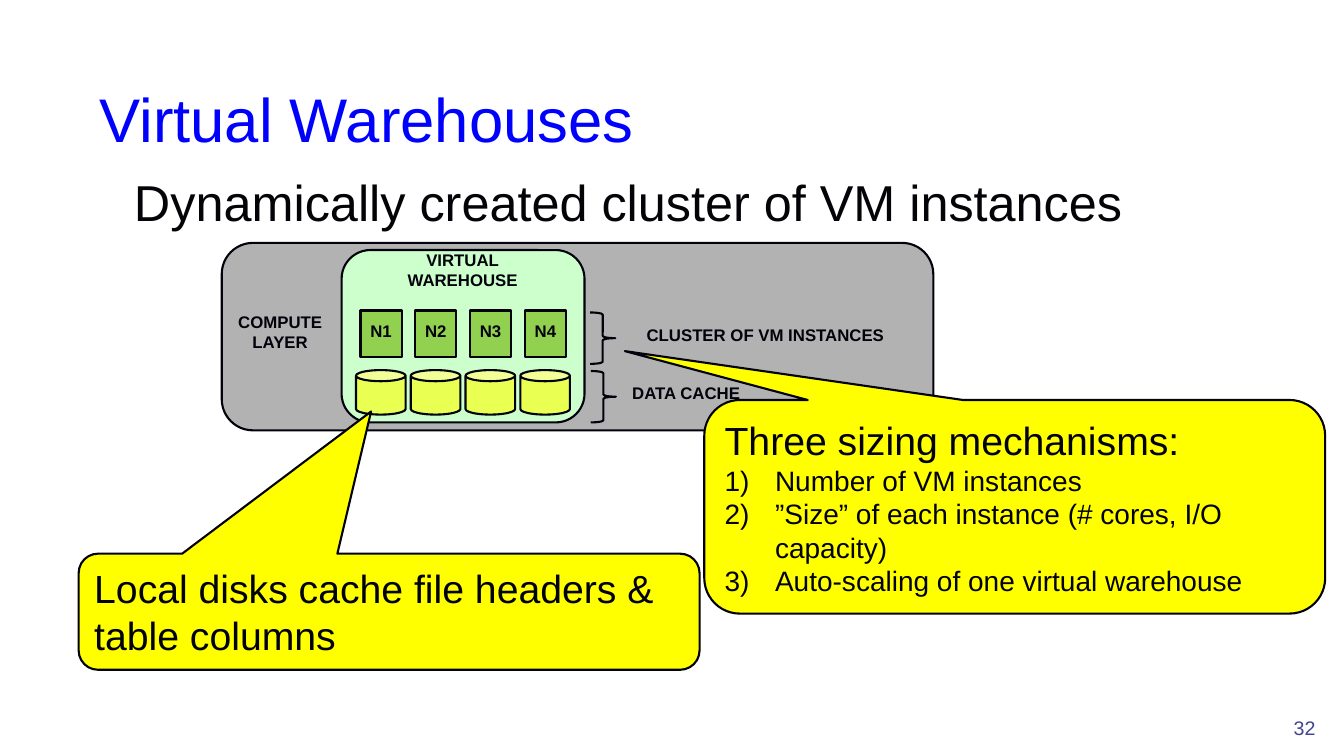
from dataclasses import dataclass
from typing import Optional

import pptx
import pptx.dml.color
import pptx.enum.shapes
import pptx.enum.text
import pptx.oxml.ns
import pptx.util
from lxml import etree

Pt = pptx.util.Pt
SHAPE = pptx.enum.shapes.MSO_SHAPE
ALIGN = pptx.enum.text.PP_ALIGN
ANCHOR = pptx.enum.text.MSO_ANCHOR

INK, YELLOW = "01020B", "FFFF00"
NODE_COUNT, NODE_STEP = 4, 39.12


@dataclass
class Line:
    text: str
    size: float = 12
    color: str = INK
    bold: bool = False
    numbered: bool = False


@dataclass
class Box:
    left: float
    top: float
    width: float
    height: float


@dataclass
class Label:
    box: Box
    lines: list[Line]
    align: ALIGN = ALIGN.CENTER
    anchor: ANCHOR = ANCHOR.TOP
    inset_top: float = 3.6


@dataclass
class Figure:
    kind: SHAPE
    box: Box
    fill: Optional[str] = None


@dataclass
class Callout:
    figure: Figure
    tail: tuple[float, float]
    lines: list[Line]


def rgb(value: str) -> pptx.dml.color.RGBColor:
    return pptx.dml.color.RGBColor.from_string(value)


def place(box: Box) -> tuple:
    return Pt(box.left), Pt(box.top), Pt(box.width), Pt(box.height)


def write(tf, lines: list[Line], align: ALIGN, anchor: ANCHOR) -> None:
    tf.word_wrap = True
    tf.vertical_anchor = anchor
    for i, line in enumerate(lines):
        p = tf.add_paragraph() if i else tf.paragraphs[0]
        p.alignment = align
        if line.numbered:
            pPr = p._p.get_or_add_pPr()
            pPr.set("marL", str(Pt(36)))
            pPr.set("indent", str(-Pt(36)))
            num = etree.SubElement(pPr, pptx.oxml.ns.qn("a:buAutoNum"))
            num.set("type", "arabicParenR")
        r = p.add_run()
        r.text = line.text
        r.font.name = "Arial"
        r.font.size = Pt(line.size)
        r.font.bold = line.bold
        r.font.color.rgb = rgb(line.color)


def draw_label(s, label: Label) -> None:
    tf = s.shapes.add_textbox(*place(label.box)).text_frame
    tf.margin_top = Pt(label.inset_top)
    write(tf, label.lines, label.align, label.anchor)


def draw_figure(s, figure: Figure):
    sp = s.shapes.add_shape(figure.kind, *place(figure.box))
    sp.shadow.inherit = False
    if figure.fill:
        sp.fill.solid()
        sp.fill.fore_color.rgb = rgb(figure.fill)
    else:
        sp.fill.background()
    sp.line.color.rgb = rgb(INK)
    sp.line.width = Pt(1.5)
    return sp


def draw_callout(s, callout: Callout) -> None:
    sp = draw_figure(s, callout.figure)
    sp.adjustments[0], sp.adjustments[1] = callout.tail
    write(sp.text_frame, callout.lines, ALIGN.LEFT, ANCHOR.MIDDLE)


def caption(*texts: str) -> list[Line]:
    return [Line(text, bold=True) for text in texts]


HEADINGS = [
    Label(Box(64, 23.8, 816, 90), [Line("Virtual Warehouses", 44, "0000FF")],
          ALIGN.LEFT, ANCHOR.BOTTOM),
    Label(Box(88.6, 113.8, 816, 199.4),
          [Line("Dynamically created cluster of VM instances", 36, "040408")],
          ALIGN.LEFT, inset_top=8.6),
    Label(Box(874, 495.4, 72.7, 36), [Line("32", 14, "40458C")],
          ALIGN.RIGHT, ANCHOR.BOTTOM),
]

LAYERS = [
    Figure(SHAPE.ROUNDED_RECTANGLE, Box(158.4, 173.5, 508.3, 133.9), "B2B2B2"),
    Figure(SHAPE.ROUNDED_RECTANGLE, Box(244, 178.6, 173.5, 123.1), "CCFFCC"),
    Figure(SHAPE.RIGHT_BRACE, Box(421.5, 223.2, 18, 36.7)),
    Figure(SHAPE.RIGHT_BRACE, Box(422, 265, 18, 36.7)),
]

CAPTIONS = [
    Label(Box(158.4, 218.9, 83.5, 44), caption("COMPUTE", "LAYER")),
    Label(Box(276.5, 175, 108, 44), caption("VIRTUAL", "WAREHOUSE")),
    Label(Box(443.5, 228.2, 206.6, 26.6), caption("CLUSTER OF VM INSTANCES")),
    Label(Box(444.5, 270, 206.6, 26.6), caption("DATA CACHE"), ALIGN.LEFT),
]

CALLOUTS = [
    Callout(
        Figure(SHAPE.ROUNDED_RECTANGULAR_CALLOUT, Box(503.1, 285.7, 443.5, 152.6), YELLOW),
        (-0.628, -0.729),
        [Line("Three sizing mechanisms:", 28),
         Line("Number of VM instances", 20, numbered=True),
         Line("”Size” of each instance (# cores, I/O capacity)", 20, numbered=True),
         Line("Auto-scaling of one virtual warehouse", 20, numbered=True)]),
    Callout(
        Figure(SHAPE.ROUNDED_RECTANGULAR_CALLOUT, Box(56.2, 395.5, 443.5, 82.9), YELLOW),
        (-0.029, -1.725),
        [Line("Local disks cache file headers & table columns", 28)]),
]


def main() -> None:
    prs = pptx.Presentation()
    prs.slide_width, prs.slide_height = Pt(960), Pt(540)
    s = prs.slides.add_slide(prs.slide_layouts[6])

    # Title, statement and page number
    for label in HEADINGS:
        draw_label(s, label)

    # Compute layer with its warehouse and braces
    for figure in LAYERS:
        draw_figure(s, figure)
    for label in CAPTIONS:
        draw_label(s, label)

    # Nodes, each with its disk
    for i in range(NODE_COUNT):
        dx = i * NODE_STEP
        draw_figure(s, Figure(SHAPE.CAN, Box(254.3 + dx, 264.4, 35.4, 31.8), "E9FF51"))
        draw_figure(s, Figure(SHAPE.RECTANGLE, Box(257.5 + dx, 221.8, 29.4, 33.1), "92D050"))
        draw_label(s, Label(Box(254.9 + dx, 225.4, 34.6, 26.6), caption(f"N{i + 1}")))

    # Callouts on top
    for callout in CALLOUTS:
        draw_callout(s, callout)

    prs.save("out.pptx")


if __name__ == "__main__":
    main()
